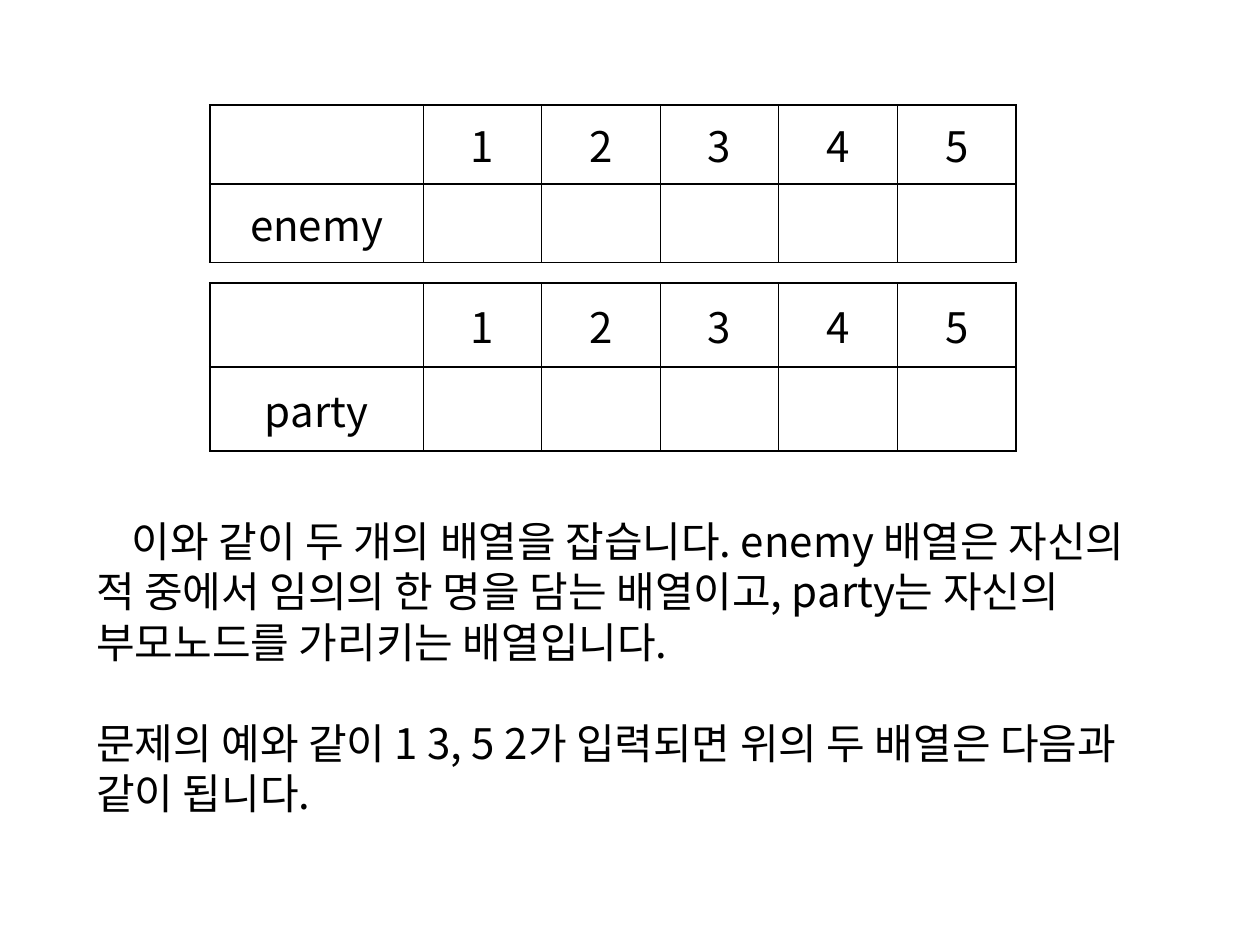
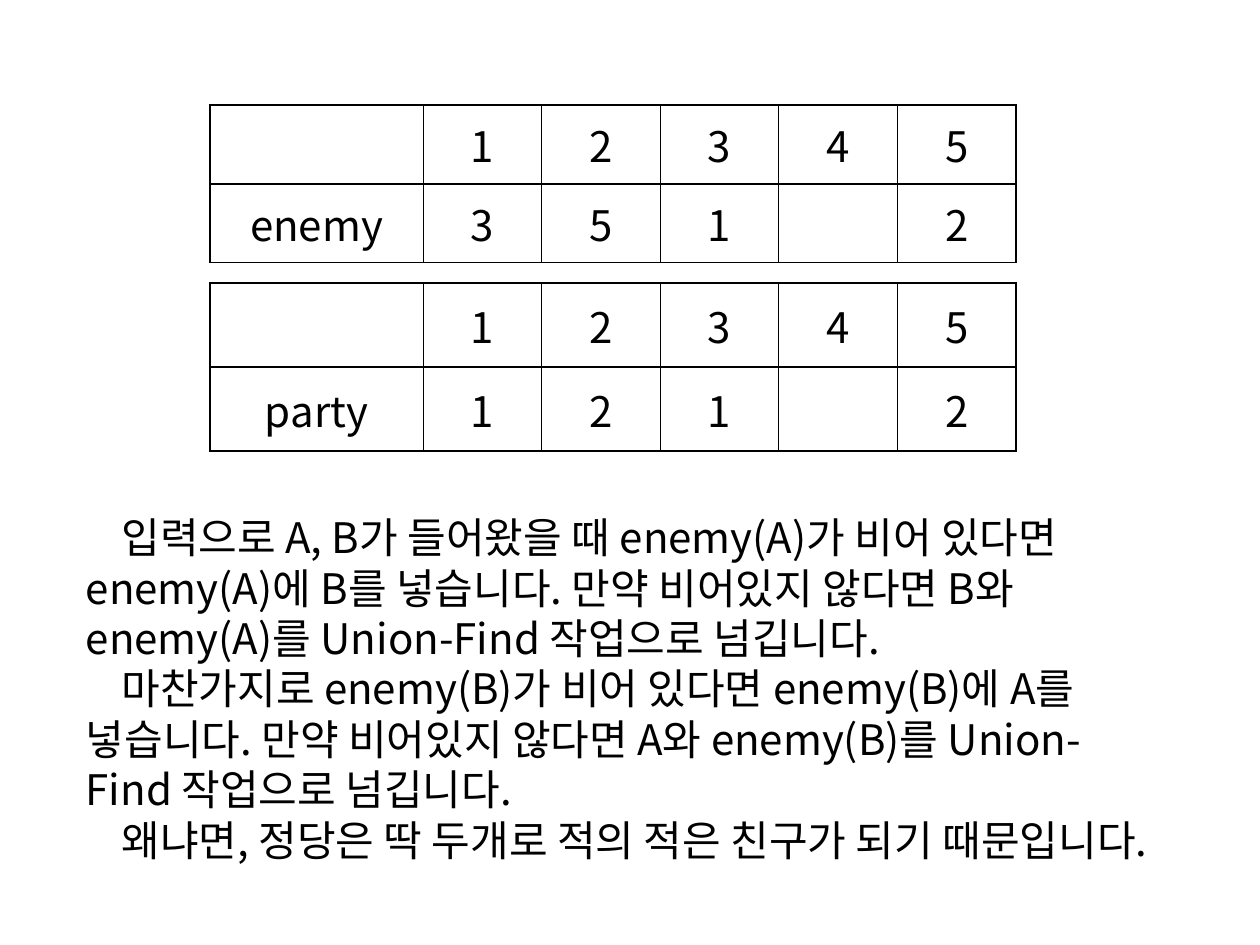
from dataclasses import dataclass

from lxml import etree
from pptx import Presentation
from pptx.dml.color import RGBColor
from pptx.enum import text as txt
from pptx.oxml.ns import qn
from pptx.util import Cm, Pt


@dataclass(frozen=True)
class Theme:
    font: str = "Noto Sans CJK KR"
    ink: str = "000000"
    body_size: int = 24
    thin_rule: float = 0.45
    thick_rule: float = 1.08


THEME = Theme()
NODES = ["1", "2", "3", "4", "5"]
LABEL_WIDTH, NODE_WIDTH = 4.3, 2.39
ARRAYS_LEFT = 4.23


def write(frame, paragraphs, align=txt.PP_ALIGN.LEFT, before=0, gap=0, indent=0):
    """Fill a text frame from (content, indented) pairs."""
    for index, (content, indented) in enumerate(paragraphs):
        line = frame.paragraphs[0] if index == 0 else frame.add_paragraph()
        line.alignment = align
        line.space_before = Pt(gap if index else before)
        if indented:
            line._p.get_or_add_pPr().set("indent", str(Cm(indent)))
        run = line.add_run()
        run.text = content
        run.font.size = Pt(THEME.body_size)
        run.font.name = THEME.font
        run.font.color.rgb = RGBColor.from_string(THEME.ink)


def rule_cell(cell, **widths):
    """Draw the four borders of a cell, widths in points by side."""
    properties = cell._tc.get_or_add_tcPr()
    for position, side in enumerate(("L", "R", "T", "B")):
        border = etree.Element(qn(f"a:ln{side}"), w=str(Pt(widths[side])))
        fill = etree.SubElement(border, qn("a:solidFill"))
        etree.SubElement(fill, qn("a:srgbClr"), val=THEME.ink)
        properties.insert(position, border)


def add_array(slide, name, values, top, row_heights):
    """Add one named array: node numbers above, their values below."""
    rows = [[""] + NODES, [name] + values]
    last = len(NODES)
    frame = slide.shapes.add_table(
        len(rows), last + 1, Cm(ARRAYS_LEFT), Cm(top),
        Cm(LABEL_WIDTH + last * NODE_WIDTH), Cm(sum(row_heights)))
    array = frame.table
    array.first_row = array.horz_banding = False
    for index, column in enumerate(array.columns):
        column.width = Cm(NODE_WIDTH if index else LABEL_WIDTH)
    for row_index, row in enumerate(rows):
        array.rows[row_index].height = Cm(row_heights[row_index])
        for column_index, value in enumerate(row):
            cell = array.cell(row_index, column_index)
            cell.fill.background()
            cell.vertical_anchor = txt.MSO_ANCHOR.MIDDLE
            if value:
                write(cell.text_frame, [(value, False)],
                      align=txt.PP_ALIGN.CENTER, before=6)
            rule_cell(cell,
                      L=THEME.thin_rule if column_index else THEME.thick_rule,
                      R=THEME.thick_rule if column_index == last else THEME.thin_rule,
                      T=THEME.thick_rule, B=THEME.thick_rule)


def add_explanation(slide, paragraphs, left, top, width, height, right_margin, gap=0):
    explanation = slide.shapes.add_textbox(Cm(left), Cm(top), Cm(width), Cm(height))
    frame = explanation.text_frame
    frame.word_wrap = True
    frame.margin_right = Cm(right_margin)
    frame.vertical_anchor = txt.MSO_ANCHOR.MIDDLE
    write(frame, paragraphs, gap=gap, indent=0.72)


def add_arrays_slide(deck, enemy, party):
    slide = deck.slides.add_slide(deck.slide_layouts[6])
    add_array(slide, "enemy", enemy, top=2.12, row_heights=(1.59, 1.58))
    add_array(slide, "party", party, top=5.71, row_heights=(1.69, 1.69))
    return slide


def main():
    deck = Presentation()
    deck.slide_width, deck.slide_height = Cm(25.4), Cm(19.05)

    # Empty arrays
    start = add_arrays_slide(deck, [""] * 5, [""] * 5)
    add_explanation(start, [
        ("이와 같이 두 개의 배열을 잡습니다. enemy 배열은 자신의 적 중에서 임의의 "
         "한 명을 담는 배열이고, party는 자신의 부모노드를 가리키는 배열입니다.", True),
        ("문제의 예와 같이 1 3, 5 2가 입력되면 위의 두 배열은 다음과 같이 됩니다.", False),
    ], left=1.69, top=9.74, width=21.8, height=7.41, right_margin=0.75, gap=29)

    # Arrays after the sample input
    filled = add_arrays_slide(deck, ["3", "5", "1", "", "2"], ["1", "2", "1", "", "2"])
    add_explanation(filled, [
        ("입력으로 A, B가 들어왔을 때 enemy(A)가 비어 있다면 enemy(A)에 B를 넣습니다. "
         "만약 비어있지 않다면 B와 enemy(A)를 Union-Find 작업으로 넘깁니다.", True),
        ("마찬가지로 enemy(B)가 비어 있다면 enemy(B)에 A를 넣습니다. "
         "만약 비어있지 않다면 A와 enemy(B)를 Union-Find 작업으로 넘깁니다.", True),
        ("왜냐면, 정당은 딱 두개로 적의 적은 친구가 되기 때문입니다.", True),
    ], left=1.48, top=9.74, width=22.01, height=8.26, right_margin=0.35)

    deck.save("out.pptx")


if __name__ == "__main__":
    main()
